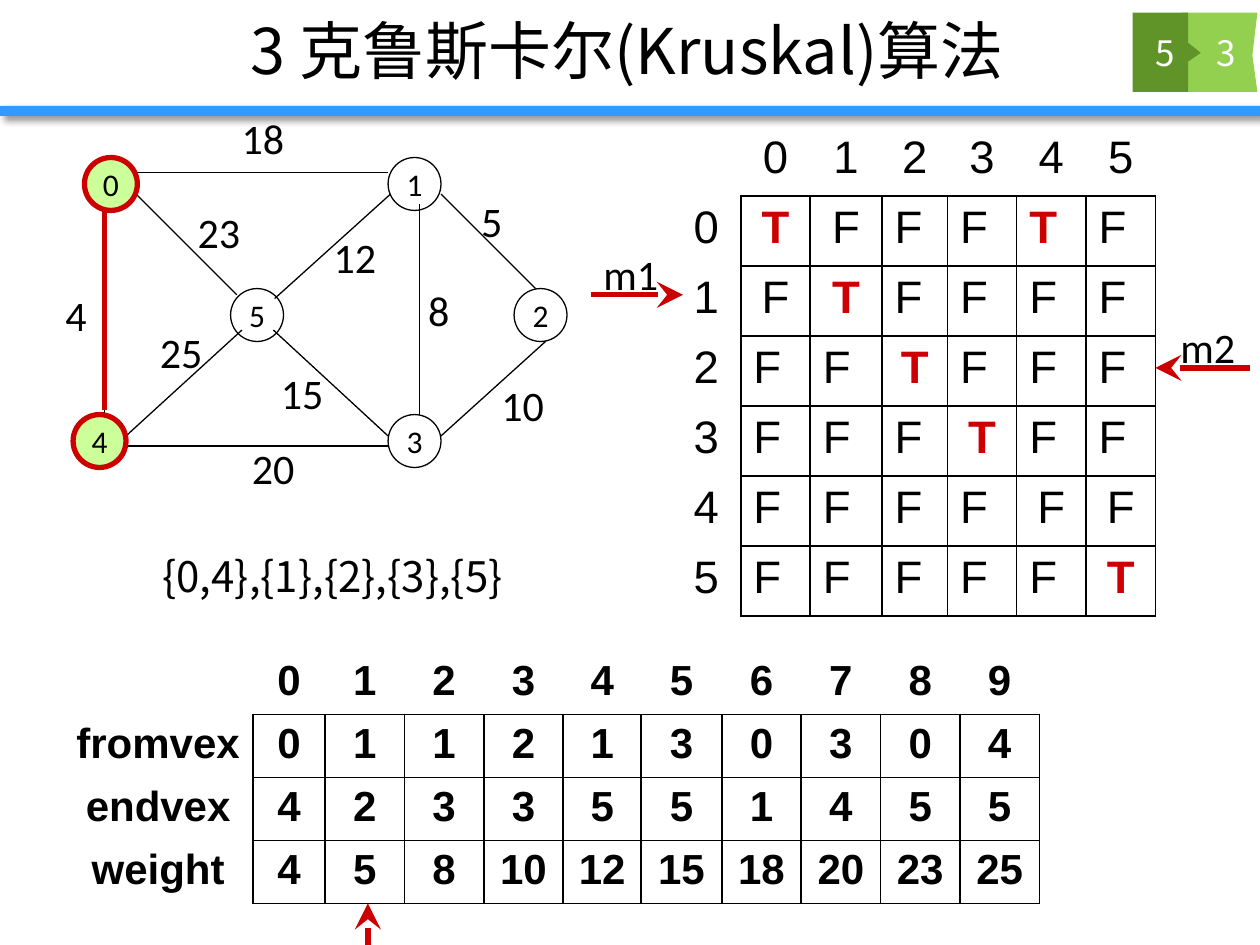
from lxml import etree
from pptx import Presentation
from pptx.dml.color import RGBColor
from pptx.enum import shapes, text
from pptx.oxml import ns
from pptx.util import Inches, Pt

BLACK, RED, WHITE = "000000", "CC0000", "FFFFFF"
CJK = "Noto Sans CJK SC"
NODE = 0.42

# Graph: name, left, top
NODES = [("2", 4.08, 2.29), ("1", 3.08, 1.25), ("5", 1.83, 2.29), ("3", 3.08, 3.29)]
TREE_NODES = [("0", 0.67, 1.25), ("4", 0.58, 3.29)]
EDGES = [
    (4.33, 2.71, 3.5, 3.46), (3.5, 1.54, 4.25, 2.29), (2.17, 2.62, 3.08, 3.46),
    (1, 3.46, 1.92, 2.62), (2.18, 2.37, 3.1, 1.54), (1.08, 1.54, 1.88, 2.34),
    (0.83, 3.29, 0.83, 1.62), (1.08, 1.37, 3.08, 1.37), (1, 3.54, 3.08, 3.54),
    (3.33, 3.29, 3.33, 1.62),
]
# Labels: text, left, top; the width follows from the number of characters
WEIGHTS = [
    ("23", 1.47, 1.59), ("25", 1.17, 2.54), ("20", 1.9, 3.46), ("15", 2.13, 2.87),
    ("10", 3.88, 2.96), ("18", 1.82, 0.84), ("4", 0.42, 2.25), ("12", 2.55, 1.79),
    ("5", 3.72, 1.5), ("8", 3.3, 2.21),
]
WEIGHT_WIDTHS = {1: 0.38, 2: 0.55}
POINTER_LABELS = [("m1", 4.69, 1.92), ("m2", 9.27, 2.5)]

# Edges sorted by weight, one column each
EDGE_ROWS = [
    ["", *map(str, range(10))],
    "fromvex 0 1 1 2 1 3 0 3 0 4".split(),
    "endvex 4 2 3 3 5 5 1 4 5 5".split(),
    "weight 4 5 8 10 12 15 18 20 23 25".split(),
]
EDGE_COLS = [1.51, 0.57, 0.63, 0.63, 0.63, 0.62, 0.64, 0.63, 0.63, 0.63, 0.63]

# Component matrix: row, column of the T cells and of the centred cells
TRUE_CELLS = {(0, 0), (0, 4), (1, 1), (2, 2), (3, 3), (5, 5)}
CENTRED = {(i, i) for i in range(6)} | {(0, 1), (1, 0), (4, 5)}
MATRIX_COLS = [0.55, 0.55, 0.57, 0.52, 0.55, 0.55, 0.55]


def rgb(value):
    return RGBColor.from_string(value)


def child(parent, tag, **attrs):
    return etree.SubElement(parent, ns.qn(tag), attrs)


def write(tf, content, size, font, color=BLACK, bold=False, centred=True):
    p = tf.paragraphs[0]
    p.alignment = text.PP_ALIGN.CENTER if centred else text.PP_ALIGN.LEFT
    r = p.add_run()
    r.text = content
    r.font.size, r.font.name, r.font.bold = Pt(size), font, bold
    r.font.color.rgb = rgb(color)
    child(r._r.get_or_add_rPr(), "a:ea", typeface=font)


def add_text(s, content, x, y, w, h, size, font, color=BLACK, block=False):
    """A block is centred and wraps; any other text stays on one line."""
    tf = s.shapes.add_textbox(Inches(x), Inches(y), Inches(w), Inches(h)).text_frame
    tf.word_wrap = block
    if block:
        tf.vertical_anchor = text.MSO_ANCHOR.MIDDLE
    else:
        tf.auto_size = text.MSO_AUTO_SIZE.SHAPE_TO_FIT_TEXT
    write(tf, content, size, font, color, centred=block)


def add_line(s, points, color=BLACK, width=0.75, arrow=False):
    sp = s.shapes.add_connector(shapes.MSO_CONNECTOR.STRAIGHT, *map(Inches, points))
    sp.line.color.rgb, sp.line.width = rgb(color), Pt(width)
    if arrow:
        child(sp.line._get_or_add_ln(), "a:tailEnd", type="stealth", w="lg", len="lg")
    child(sp._element.spPr, "a:effectLst")


def add_node(s, name, x, y, in_tree=False):
    sp = s.shapes.add_shape(shapes.MSO_SHAPE.OVAL, Inches(x), Inches(y),
                            Inches(NODE), Inches(NODE))
    sp.shadow.inherit = False
    if in_tree:
        sp.fill.solid()
        sp.fill.fore_color.rgb = rgb("CCFF99")
    else:
        sp.fill.background()
    sp.line.color.rgb = rgb(RED if in_tree else BLACK)
    sp.line.width = Pt(3 if in_tree else 0.75)
    tf = sp.text_frame
    tf.word_wrap = False
    tf.vertical_anchor = text.MSO_ANCHOR.MIDDLE
    write(tf, name, 18, "Calibri")


def add_outline(s, points, color):
    start, *rest = [(Inches(x), Inches(y)) for x, y in points]
    builder = s.shapes.build_freeform(*start)
    builder.add_line_segments(rest, close=True)
    sp = builder.convert_to_shape()
    sp.shadow.inherit = False
    sp.fill.solid()
    sp.fill.fore_color.rgb = rgb(color)
    sp.line.fill.background()


def add_bar(s):
    sp = s.shapes.add_shape(shapes.MSO_SHAPE.RECTANGLE, 0, Inches(0.84),
                            Inches(10), Inches(0.08))
    sp.fill.solid()
    sp.fill.fore_color.rgb = rgb("3399FF")
    sp.line.fill.background()
    shadow = child(child(sp._element.spPr, "a:effectLst"), "a:outerShdw",
                   blurRad=str(Pt(4)), dist=str(Pt(3)), dir="2700000",
                   algn="tl", rotWithShape="0")
    child(child(shadow, "a:srgbClr", val=BLACK), "a:alpha", val="40000")


def set_borders(cell, sides):
    tcPr = cell._tc.get_or_add_tcPr()
    for side in "LRTB":
        ln = child(tcPr, "a:ln" + side, w=str(Pt(1)))
        if side in sides:
            child(child(ln, "a:solidFill"), "a:srgbClr", val=BLACK)
        else:
            child(ln, "a:noFill")


def add_grid(s, x, y, cols, height, rows, style):
    """Bordered table whose first row and column are unboxed headings."""
    frame = s.shapes.add_table(len(rows), len(cols), Inches(x), Inches(y),
                               Inches(sum(cols)), Inches(height))
    table = frame.table
    table.first_row = table.horz_banding = False
    for column, width in zip(table.columns, cols):
        column.width = Inches(width)
    for i, row in enumerate(rows):
        for j, value in enumerate(row):
            cell = table.cell(i, j)
            if i and j:
                sides = "LRTB"
            else:
                sides = "B" if j else "R" if i else ""
            set_borders(cell, sides)
            cell.fill.background()
            if value:
                write(cell.text_frame, value, font="Arial", **style(i - 1, j - 1))


def edge_style(i, j):
    return {"size": 24, "bold": True}


def matrix_style(i, j):
    is_true = (i, j) in TRUE_CELLS
    return {"size": 26, "bold": is_true, "color": RED if is_true else BLACK,
            "centred": min(i, j) < 0 or (i, j) in CENTRED}


def matrix_rows():
    heads = list(map(str, range(6)))
    return [["", *heads]] + [
        [head, *("T" if (i, j) in TRUE_CELLS else "F" for j in range(6))]
        for i, head in enumerate(heads)]


def main():
    prs = Presentation()
    prs.slide_width, prs.slide_height = Inches(10), Inches(7.5)
    s = prs.slides.add_slide(prs.slide_layouts[6])

    # Heading and section badge
    add_bar(s)
    add_outline(s, [(9.38, 0.1), (9.98, 0.1), (9.94, 0.44), (9.98, 0.73), (9.38, 0.73)],
                "93D050")
    add_outline(s, [(8.99, 0.1), (9.43, 0.1), (9.43, 0.34), (9.53, 0.42),
                    (9.43, 0.49), (9.43, 0.73), (8.99, 0.73)], "619428")
    add_text(s, "3 克鲁斯卡尔(Kruskal)算法", 0.98, 0.01, 7.99, 0.77, 36, CJK, block=True)
    for number, x in (("3", 9.42), ("5", 8.94)):
        add_text(s, number, x, 0.1, 0.62, 0.63, 20, CJK, WHITE, block=True)

    # Graph
    for node in NODES:
        add_node(s, *node)
    for edge in EDGES:
        add_line(s, edge)
    for weight, x, y in WEIGHTS:
        add_text(s, weight, x, y, WEIGHT_WIDTHS[len(weight)], 0.5, 24, "Calibri")

    # Tables
    add_grid(s, 0.5, 5.17, EDGE_COLS, 2, EDGE_ROWS, edge_style)
    add_grid(s, 5.33, 1, MATRIX_COLS, 3.89, matrix_rows(), matrix_style)

    # Pointers to the current edge and its two components
    for points in ((2.92, 7.5, 2.92, 7.17), (4.69, 2.34, 5.42, 2.34),
                   (9.92, 2.92, 9.17, 2.92)):
        add_line(s, points, RED, 3, arrow=True)
    for label, x, y in POINTER_LABELS:
        add_text(s, label, x, y, 0.66, 0.5, 24, "Calibri")

    # Chosen edge and the resulting sets
    add_line(s, (0.83, 1.67, 0.83, 3.25), RED, 3)
    for node in TREE_NODES:
        add_node(s, *node, in_tree=True)
    add_text(s, "{0,4},{1},{2},{3},{5}", 1.19, 4.32, 2.92, 0.5, 24, CJK)

    prs.save("out.pptx")


if __name__ == "__main__":
    main()
